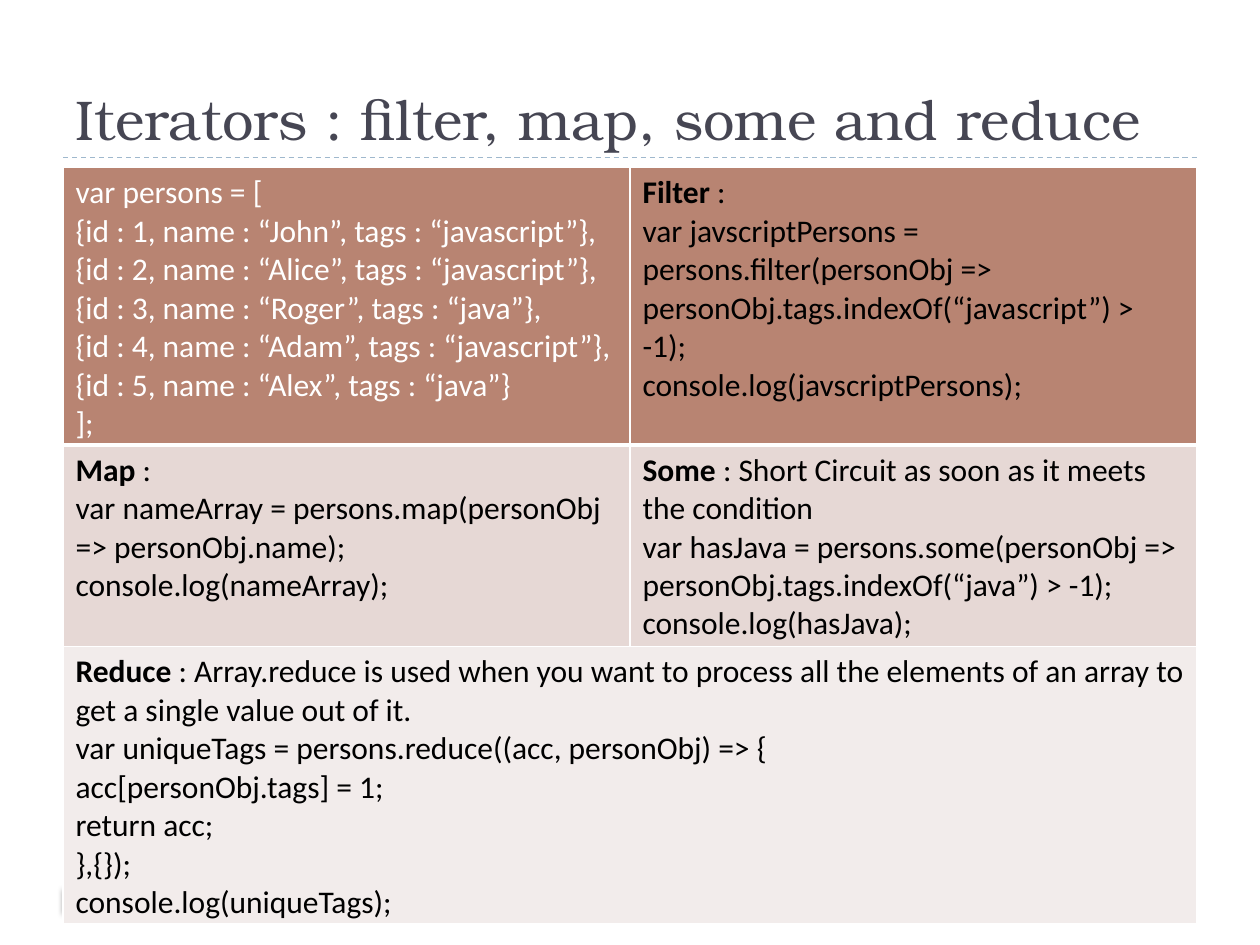
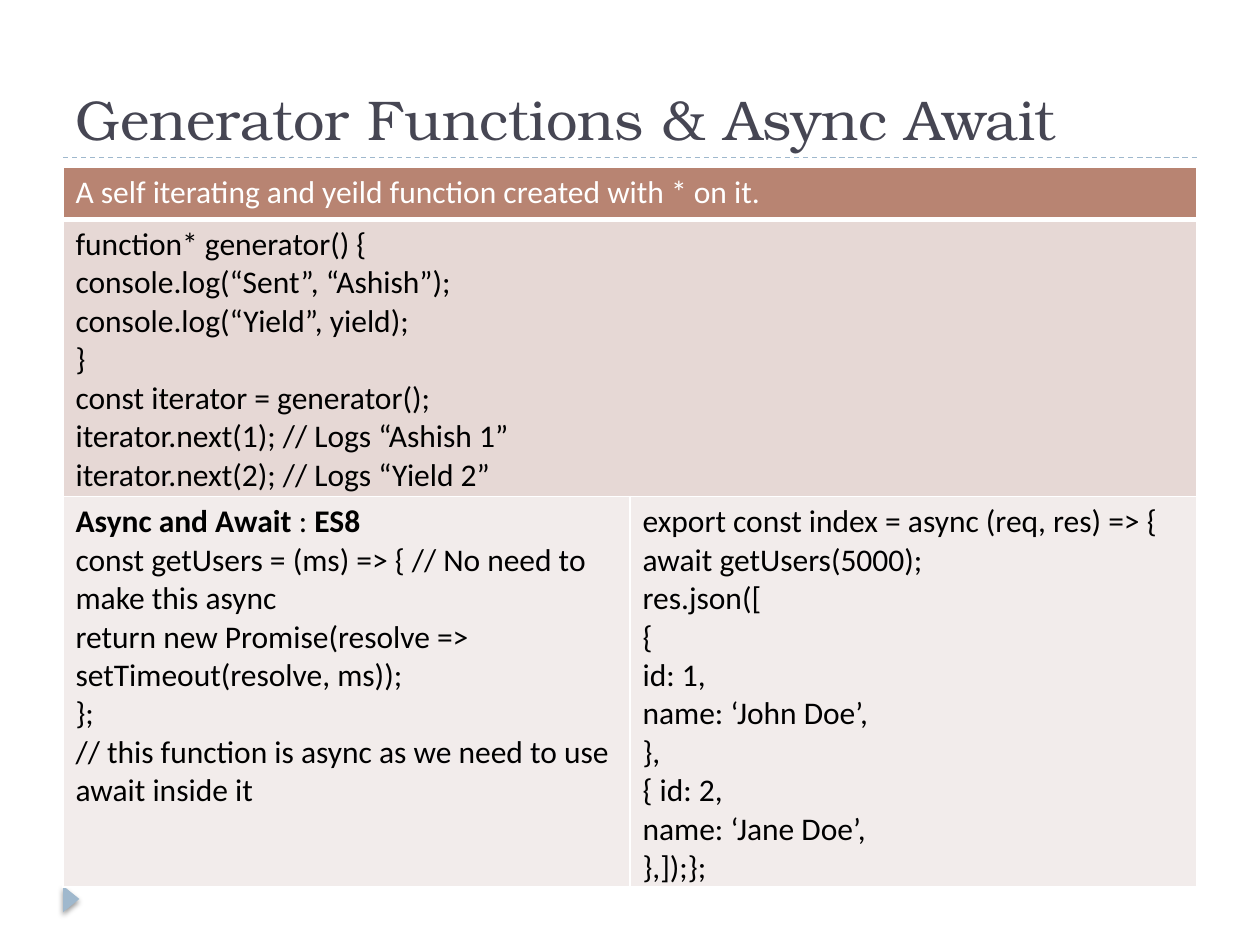
from dataclasses import dataclass

from lxml.etree import SubElement
from pptx import Presentation
from pptx.dml.color import RGBColor
from pptx.enum.dml import MSO_LINE_DASH_STYLE as Dash
from pptx.enum.shapes import MSO_CONNECTOR as Connector, MSO_SHAPE as Shape
from pptx.enum.text import MSO_ANCHOR as Anchor
from pptx.oxml.ns import qn
from pptx.util import Inches, Pt


@dataclass(frozen=True)
class Theme:
    title_font: str = "TeX Gyre Bonum"
    body_font: str = "Calibri"
    title_size: int = 32
    body_size: int = 18
    title: str = "464653"
    accent: str = "9FB8CD"
    light: str = "FFFFFF"
    dark: str = "000000"
    row_fills: tuple = ("B88472", "E6D8D5", "F2ECEB")
    thin_border: float = 0.96
    header_border: float = 3


theme = Theme()
WIDTH, HEIGHT = Inches(10), Inches(7.5)
MARGIN = int(WIDTH * 0.05)
CONTENT = WIDTH - 2 * MARGIN
COLUMNS = 2
TITLE_RULE, FOOTER_RULE = Inches(1.25), Inches(6.95)
TITLE_TOP, TABLE_TOP = Inches(0.17), Inches(1.33)
ROW_HEIGHT = Inches(0.41)

# A cell is a list of paragraphs, a paragraph a list of (text, bold) runs.
# None continues the cell to its left.
persons = [[("""var persons = [
{id : 1, name : “John”, tags : “javascript”},
{id : 2, name : “Alice”, tags : “javascript”},
{id : 3, name : “Roger”, tags : “java”},
{id : 4, name : “Adam”, tags : “javascript”},
{id : 5, name : “Alex”, tags : “java”}
];""", False)]]
filter_code = [[("Filter", True), (""" :
var javscriptPersons = persons.filter(personObj => personObj.tags.indexOf(“javascript”) > -1);
console.log(javscriptPersons);""", False)]]
map_code = [[("Map", True), (""" :
var nameArray = persons.map(personObj => personObj.name);
console.log(nameArray);""", False)]]
some_code = [[("Some", True), (""" : Short Circuit as soon as it meets the condition
var hasJava = persons.some(personObj => personObj.tags.indexOf(“java”) > -1);
console.log(hasJava);""", False)]]
reduce_code = [[("Reduce", True), (""" : Array.reduce is used when you want to process all the elements of an array to get a single value out of it.
var uniqueTags = persons.reduce((acc, personObj) => {
acc[personObj.tags] = 1;
return acc;
},{});
console.log(uniqueTags);""", False)]]

generator_intro = [[("A self iterating and yeild function created with * on it.", False)]]
generator_code = [[("""function* generator() {
console.log(“Sent”, “Ashish”);
console.log(“Yield”, yield);
}""", False)], [("""const iterator = generator();
iterator.next(1); // Logs “Ashish 1”
iterator.next(2); // Logs “Yield 2”""", False)]]
async_code = [[("Async and Await", True), (" : ", False), ("ES8\n", True),
               ("""const getUsers = (ms) => { // No need to make this async
return new Promise(resolve => setTimeout(resolve, ms));
};""", False)],
              [("// this function is async as we need to use await inside it", False)]]
await_code = [[("""export const index = async (req, res) => {
await getUsers(5000);""", False)], [("""res.json([
{
id: 1,
name: ‘John Doe’,
},
{ id: 2,
name: ‘Jane Doe’,
},]);};""", False)]]

slides = [
    ("Iterators : filter, map, some and reduce",
     [[persons, filter_code], [map_code, some_code], [reduce_code, None]]),
    ("Generator Functions & Async Await",
     [[generator_intro, None], [generator_code, None], [async_code, await_code]]),
]


def add_text(para, text, font, size, color, bold=False):
    """Append text to a paragraph, turning newlines into line breaks."""
    for index, line in enumerate(text.split("\n")):
        if index:
            para.add_line_break()
        if line:
            span = para.add_run()
            span.text = line
            span.font.name = font
            span.font.size = Pt(size)
            span.font.bold = bold
            span.font.color.rgb = RGBColor.from_string(color)


def add_border(cell, side, points):
    line = SubElement(cell._tc.get_or_add_tcPr(), qn(f"a:ln{side}"), w=str(Pt(points)))
    fill = SubElement(line, qn("a:solidFill"))
    SubElement(fill, qn("a:srgbClr"), val=theme.light)


deck = Presentation()
deck.slide_width, deck.slide_height = WIDTH, HEIGHT

for title, rows in slides:
    page = deck.slides.add_slide(deck.slide_layouts[6])

    # Shared frame: dashed rules, corner marker and title
    for y in (FOOTER_RULE, TITLE_RULE):
        rule = page.shapes.add_connector(Connector.STRAIGHT, MARGIN, y, MARGIN + CONTENT, y)
        rule.line.color.rgb = RGBColor.from_string(theme.accent)
        rule.line.width = Pt(0.75)
        rule.line.dash_style = Dash.DASH
        SubElement(rule._element.spPr, qn("a:effectLst"))

    marker = page.shapes.add_shape(Shape.ISOSCELES_TRIANGLE, Inches(0.46), Inches(7.07),
                                   Inches(0.21), Inches(0.13))
    marker.rotation = 90
    marker.fill.solid()
    marker.fill.fore_color.rgb = RGBColor.from_string(theme.accent)
    marker.line.fill.background()
    marker.shadow.inherit = False
    effects = marker._element.spPr.find(qn("a:effectLst"))
    shadow = SubElement(effects, qn("a:outerShdw"), blurRad=str(Pt(3)), dist=str(Pt(2)),
                        dir="5400000", rotWithShape="0")
    shade = SubElement(shadow, qn("a:srgbClr"), val=theme.dark)
    SubElement(shade, qn("a:alpha"), val="40000")

    box = page.shapes.add_textbox(MARGIN, TITLE_TOP, CONTENT, TITLE_RULE - TITLE_TOP)
    frame = box.text_frame
    frame.word_wrap = True
    frame.vertical_anchor = Anchor.BOTTOM
    add_text(frame.paragraphs[0], title, theme.title_font, theme.title_size, theme.title)

    # Rows grow to fit their text
    table = page.shapes.add_table(len(rows), COLUMNS, MARGIN, TABLE_TOP, CONTENT,
                                  ROW_HEIGHT * len(rows)).table
    table.first_row = table.horz_banding = False
    for row, contents in enumerate(rows):
        for column, paragraphs in enumerate(contents):
            cell = table.cell(row, column)
            for side in "LRTB":
                header_edge = (row, side) in ((0, "B"), (1, "T"))
                add_border(cell, side, theme.header_border if header_edge else theme.thin_border)
            cell.fill.solid()
            cell.fill.fore_color.rgb = RGBColor.from_string(theme.row_fills[row])
            if paragraphs is None:
                table.cell(row, column - 1).merge(cell)
                continue
            color = theme.light if (row, column) == (0, 0) else theme.dark
            for index, runs in enumerate(paragraphs):
                frame = cell.text_frame
                para = frame.add_paragraph() if index else frame.paragraphs[0]
                for text, bold in runs:
                    add_text(para, text, theme.body_font, theme.body_size, color, bold)

deck.save("out.pptx")
